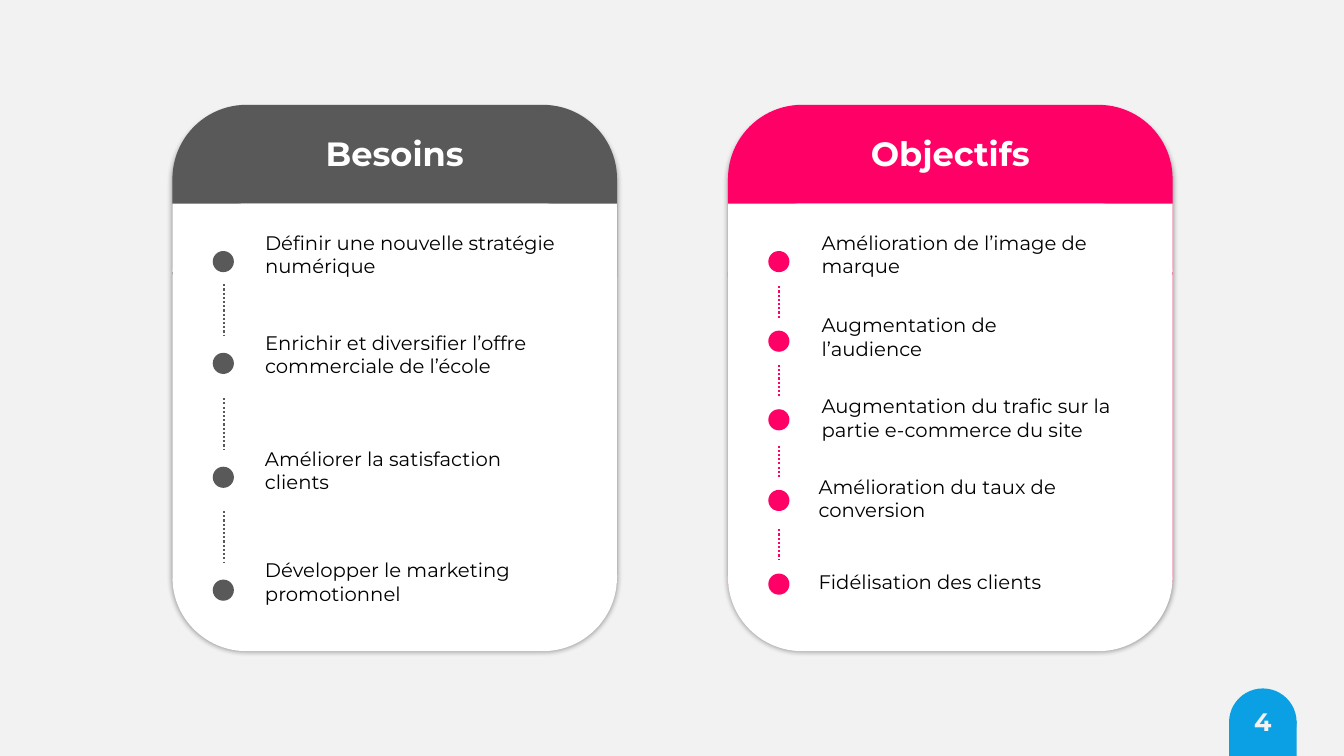
"""Build the slide that sets needs beside goals."""
from lxml import etree
from pptx import Presentation
from pptx.dml.color import RGBColor
from pptx.enum.dml import MSO_LINE
from pptx.enum.shapes import MSO_CONNECTOR, MSO_SHAPE
from pptx.enum.text import MSO_ANCHOR, MSO_AUTO_SIZE, PP_ALIGN
from pptx.oxml import parse_xml
from pptx.oxml.ns import nsdecls, qn
from pptx.util import Inches, Pt

OVAL, RECT, ROUND = MSO_SHAPE.OVAL, MSO_SHAPE.RECTANGLE, MSO_SHAPE.ROUNDED_RECTANGLE
STRAIGHT, DOTS = MSO_CONNECTOR.STRAIGHT, MSO_LINE.ROUND_DOT
LEFT, CENTER = PP_ALIGN.LEFT, PP_ALIGN.CENTER
TOP, FIXED = MSO_ANCHOR.TOP, MSO_AUTO_SIZE.NONE

PALE = RGBColor(0xF2, 0xF2, 0xF2)
WHITE = RGBColor(0xFF, 0xFF, 0xFF)
BLACK = RGBColor(0x00, 0x00, 0x00)
GRAY = RGBColor(0x59, 0x59, 0x59)
PINK = RGBColor(0xFF, 0x00, 0x66)
BLUE = RGBColor(0x0B, 0xA0, 0xE3)

FONT = "Montserrat"
WIDE = 4.41
DOT = 0.21
SHADOW = (
    f'<a:effectLst {nsdecls("a")}><a:outerShdw blurRad="50800" dist="38100" '
    'dir="5400000" algn="t" rotWithShape="0"><a:srgbClr val="000000">'
    '<a:alpha val="40000"/></a:srgbClr></a:outerShdw></a:effectLst>'
)

NEEDS = [
    ("Définir une nouvelle stratégie numérique", 2.24, 2.53, 3.28, 2.49),
    ("Enrichir et diversifier l’offre commerciale de l’école", 3.23, 2.53, 2.98, 3.5),
    ("Améliorer la satisfaction clients", 4.38, 2.53, 2.93, 4.63),
    ("Développer le marketing promotionnel", 5.49, 2.53, 2.93, 5.75),
]
GOALS = [
    ("Amélioration de l’image de marque", 2.24, 8.05, 3.28, 2.49),
    ("Augmentation de l’audience", 3.06, 8.05, 2.93, 3.28),
    ("Augmentation du trafic sur la partie e-commerce du site", 3.86, 8.05, 3.13, 4.06),
    ("Amélioration du taux de conversion", 4.66, 8.02, 2.93, 4.86),
    ("Fidélisation des clients", 5.61, 8.02, 2.93, 5.69),
]


class Deck:
    """Hold the style and the current slide."""

    def __init__(self):
        self.show = Presentation()
        self.show.slide_width = Inches(13.33)
        self.show.slide_height = Inches(7.5)
        self.slide = self.show.slides.add_slide(self.show.slide_layouts[4])
        fill = self.slide.background.fill
        fill.solid()
        fill.fore_color.rgb = PALE
        self.shapes = self.slide.shapes
        self.heads = []
        for holder in list(self.slide.placeholders):
            if holder.placeholder_format.idx in (1, 3):
                self.heads.append(holder)
            else:
                self.shapes.element.remove(holder.element)

    def shape(self, kind, x, y, w, h, color):
        """Add a plain filled shape."""
        item = self.shapes.add_shape(kind, Inches(x), Inches(y), Inches(w), Inches(h))
        item.shadow.inherit = False
        item.fill.solid()
        item.fill.fore_color.rgb = color
        item.line.fill.background()
        return item

    def text(self, box, words, size, color, bold=False, align=LEFT):
        """Fill a box with one styled paragraph."""
        frame = box.text_frame
        frame.word_wrap = True
        frame.auto_size = FIXED
        frame.vertical_anchor = TOP
        frame.text = words
        para = frame.paragraphs[0]
        para.alignment = align
        para.space_before = Pt(0)
        font = para.font
        font.name, font.size, font.bold = FONT, Pt(size), bold
        font.color.rgb = color

    def label(self, words, x, y, w, h, *style):
        """Add a text box."""
        box = self.shapes.add_textbox(Inches(x), Inches(y), Inches(w), Inches(h))
        self.text(box, words, *style)

    def head(self, words, x):
        """Place the next heading on its card."""
        box = self.heads.pop(0)
        box.left, box.top = Inches(x + 0.91), Inches(1.27)
        box.width, box.height = Inches(2.59), Inches(0.5)
        self.shapes.element.append(box.element)
        self.text(box, words, 24, WHITE, True, CENTER)

    def link(self, x, top, end, color):
        """Add a dotted upright line."""
        line = self.shapes.add_connector(
            STRAIGHT, Inches(x), Inches(top), Inches(x), Inches(end))
        line.line.color.rgb = color
        line.line.width = Pt(1.5)
        line.line.dash_style = DOTS
        etree.SubElement(line.element.spPr, qn("a:effectLst"))

    def card(self, title, x, color, items, span, gap):
        """Add a card with its heading, dots, links and items."""
        base = self.shape(ROUND, x, 1.04, WIDE, 5.39, color)
        props = base.element.spPr
        props.replace(props.find(qn("a:effectLst")), parse_xml(SHADOW))
        self.shape(ROUND, x, 2.02, WIDE, 4.44, WHITE)
        self.shape(RECT, x, 2.02, WIDE, 0.68, WHITE)
        self.head(title, x)
        for spot, (words, top, left, width, dot) in enumerate(items):
            self.shape(OVAL, x + 0.4, dot, DOT, DOT, color)
            self.label(words, left, top, width, 0.57, 14, BLACK)
            if spot:
                end = dot - gap
                self.link(x + 0.51, end - span, end, color)

    def badge(self, words):
        """Add the page number tab."""
        self.shape(OVAL, 12.19, 6.83, 0.67, 0.67, BLUE)
        self.shape(RECT, 12.19, 7.15, 0.67, 0.35, BLUE)
        self.label(words, 12.26, 6.96, 0.53, 0.4, 18, PALE, True, CENTER)


def main():
    """Build and save the slide."""
    deck = Deck()
    deck.badge("4")
    deck.card("Besoins", 1.71, GRAY, NEEDS, 0.51, 0.17)
    deck.card("Objectifs", 7.22, PINK, GOALS, 0.31, 0.13)
    deck.show.save("out.pptx")


if __name__ == "__main__":
    main()
